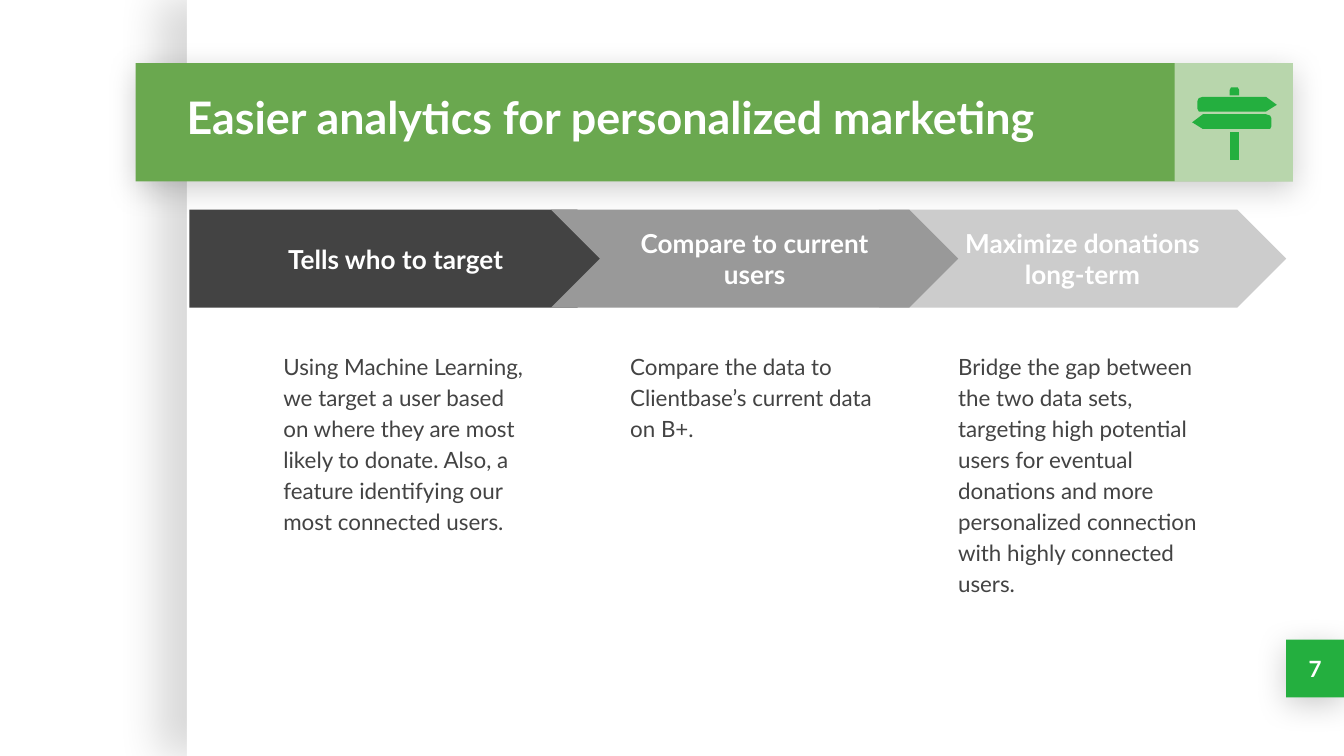
"""Build a slide with a title band, three process arrows and their descriptions."""
import pptx
import pptx.util
import pptx.dml.color
import pptx.enum.shapes
import pptx.enum.text
import pptx.oxml
import pptx.oxml.ns

Inches = pptx.util.Inches
RGBColor = pptx.dml.color.RGBColor
SHAPES = pptx.enum.shapes.MSO_SHAPE
ANCHOR = pptx.enum.text.MSO_ANCHOR
ALIGN = pptx.enum.text.PP_ALIGN

WHITE = RGBColor(0xFF, 0xFF, 0xFF)
BAND_GREEN = RGBColor(0x6A, 0xA8, 0x4F)
ICON_GREEN = RGBColor(0x24, 0xAF, 0x3F)
DARK = RGBColor(0x43, 0x43, 0x43)
MID = RGBColor(0x99, 0x99, 0x99)
LIGHT = RGBColor(0xCC, 0xCC, 0xCC)

deck = pptx.Presentation()
deck.slide_width = Inches(10)
deck.slide_height = Inches(10) * 9 // 16
page = deck.slides.add_slide(deck.slide_layouts[6])


def add_filled(kind, left, top, width, height, color, shadow=None):
    shape = page.shapes.add_shape(kind, Inches(left), Inches(top), Inches(width), Inches(height))
    shape.fill.solid()
    shape.fill.fore_color.rgb = color
    shape.line.fill.background()
    shape.shadow.inherit = False
    if shadow:
        alpha, blur, distance, angle = shadow
        effects = shape._element.spPr.find(pptx.oxml.ns.qn("a:effectLst"))
        effects.append(pptx.oxml.parse_xml(
            f'<a:outerShdw {pptx.oxml.ns.nsdecls("a")} blurRad="{pptx.util.Pt(blur)}" '
            f'dist="{pptx.util.Pt(distance)}" dir="{angle * 60000}" algn="bl" rotWithShape="0">'
            f'<a:srgbClr val="000000"><a:alpha val="{alpha * 1000}"/></a:srgbClr></a:outerShdw>'))
    return shape


def write(shape, text, size, color, bold, align, anchor, spacing=1.0):
    frame = shape.text_frame
    frame.text = text
    frame.word_wrap = True
    frame.vertical_anchor = anchor
    frame.margin_left = frame.margin_right = Inches(0.1)
    frame.margin_top = frame.margin_bottom = Inches(0.1)
    para = frame.paragraphs[0]
    para.alignment = align
    para.line_spacing = spacing
    font = para.runs[0].font
    font.name, font.size, font.bold = "Lato", pptx.util.Pt(size), bold
    font.color.rgb = color


DROP_SHADOW = (20, 16.9, 3.8, 90)
panel = add_filled(SHAPES.RECTANGLE, 1.39, 0, 8.61, 5.62, WHITE, (15, 22.5, 15, 180))
panel.height = deck.slide_height
number_box = add_filled(SHAPES.RECTANGLE, 9.57, 4.76, 0.43, 0.43, ICON_GREEN, DROP_SHADOW)
write(number_box, "7", 12, WHITE, True, ALIGN.CENTER, ANCHOR.MIDDLE)
add_filled(SHAPES.RECTANGLE, 1.01, 0.47, 8.61, 0.88, BAND_GREEN, DROP_SHADOW)
icon_tile = add_filled(SHAPES.RECTANGLE, 8.74, 0.47, 0.88, 0.88, WHITE)
tile_color = icon_tile._element.spPr.find(".//" + pptx.oxml.ns.qn("a:srgbClr"))
tile_color.append(pptx.oxml.parse_xml(f'<a:alpha {pptx.oxml.ns.nsdecls("a")} val="53000"/>'))

title = page.shapes.add_textbox(Inches(1.29), Inches(0.43), Inches(7.37), Inches(0.88))
write(title, "Easier analytics for personalized marketing", 24, WHITE, True,
      ALIGN.LEFT, ANCHOR.MIDDLE)

right_sign = [(8.95, 0.72), (8.92, 0.73), (8.91, 0.75), (8.91, 0.81), (8.92, 0.83),
              (8.95, 0.83), (9.42, 0.83), (9.5, 0.78), (9.42, 0.72)]
left_sign = [(18.37 - x, y + 0.13) for x, y in right_sign]
post_cap = [(9.17, 0.65), (9.16, 0.65), (9.15, 0.67), (9.15, 0.71),
            (9.22, 0.71), (9.22, 0.67), (9.21, 0.65)]
post = [(9.15, 0.98), (9.15, 1.19), (9.22, 1.19), (9.22, 0.98)]
for outline in (right_sign, left_sign, post_cap, post):
    points = [(Inches(x), Inches(y)) for x, y in outline]
    builder = page.shapes.build_freeform(*points[0])
    builder.add_line_segments(points[1:], close=True)
    sign = builder.convert_to_shape()
    sign.fill.solid()
    sign.fill.fore_color.rgb = ICON_GREEN
    sign.line.fill.background()
    sign.shadow.inherit = False

steps = [
    (SHAPES.CHEVRON, 6.54, 3.03, LIGHT, "Maximize donations long-term", 7.03,
     "Bridge the gap between the two data sets, targeting high potential users for eventual "
     "donations and more personalized connection with highly connected users."),
    (SHAPES.PENTAGON, 1.41, 3.25, DARK, "Tells who to target", 2.01,
     "Using Machine Learning, we target a user based on where they are most likely to donate. "
     "Also, a feature identifying our most connected users."),
    (SHAPES.CHEVRON, 4.1, 3.03, MID, "Compare to current users", 4.59,
     "Compare the data to Clientbase’s current data on B+."),
]
for kind, left, width, color, heading, body_left, body in steps:
    arrow = add_filled(kind, left, 1.56, width, 0.73, color)
    arrow.adjustments[0] = 0.5
    write(arrow, heading, 14, WHITE, True, ALIGN.CENTER, ANCHOR.MIDDLE)
    box = page.shapes.add_textbox(Inches(body_left), Inches(2.5), Inches(2.05), Inches(2.1))
    write(box, body, 12, DARK, False, ALIGN.LEFT, ANCHOR.TOP, 1.15)

deck.save("out.pptx")
